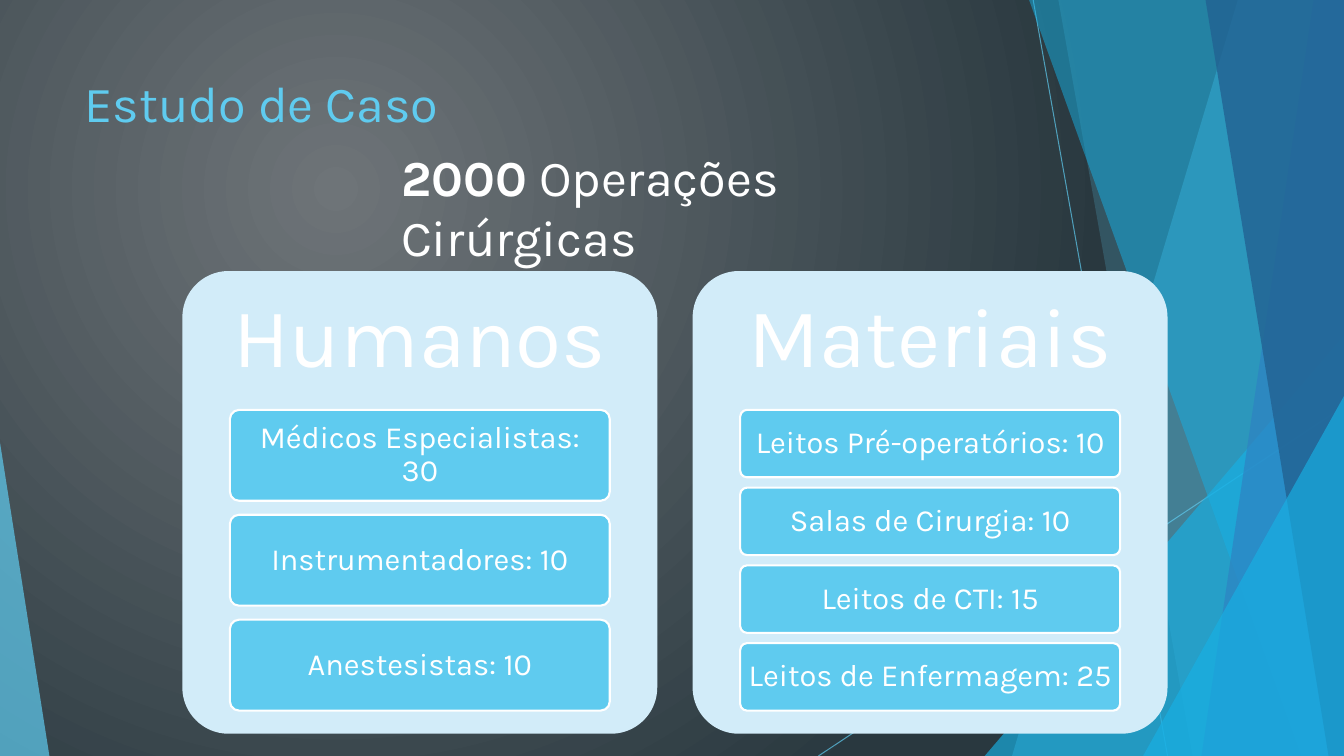
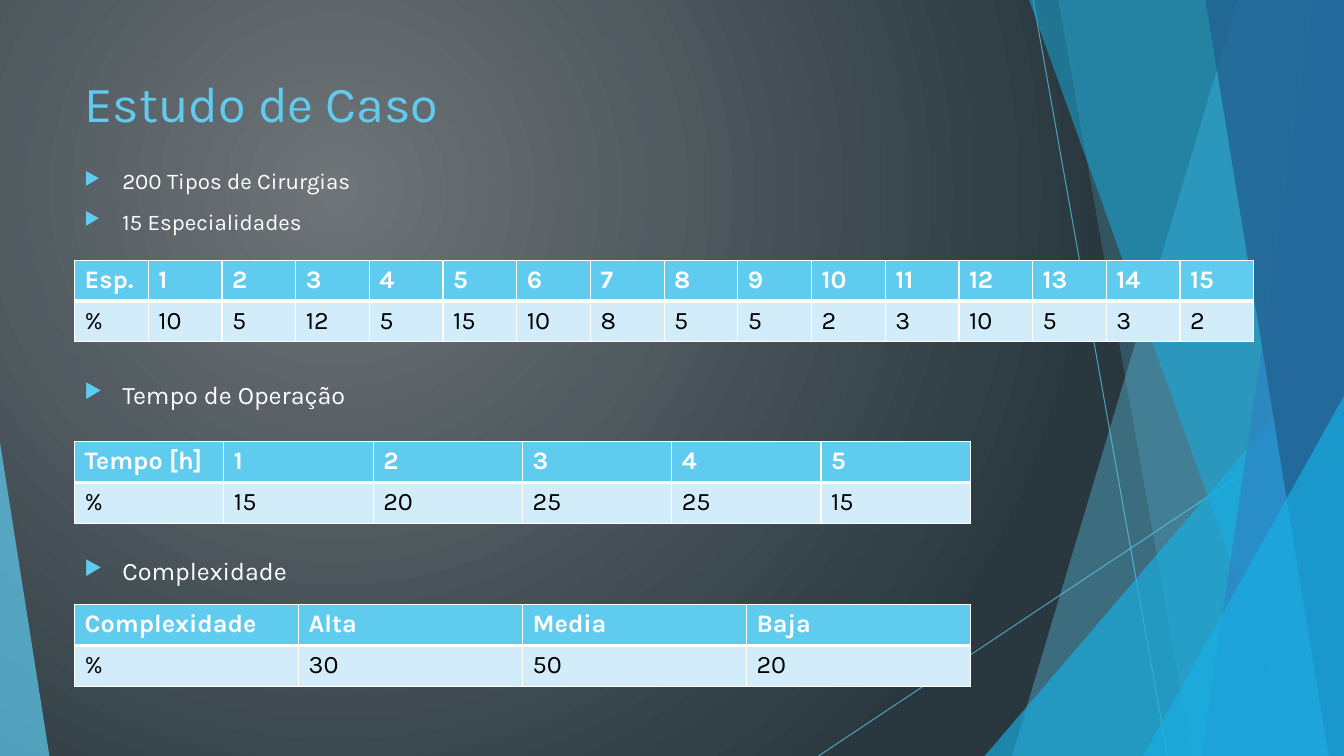
from dataclasses import dataclass
from typing import Optional, Union

from lxml.etree import SubElement
from pptx import Presentation
from pptx.dml.color import RGBColor
from pptx.enum.shapes import MSO_CONNECTOR, MSO_SHAPE
from pptx.enum.text import MSO_ANCHOR, MSO_AUTO_SIZE, PP_ALIGN
from pptx.oxml.ns import qn
from pptx.oxml.xmlchemy import OxmlElement
from pptx.slide import Slide, SlideLayout, SlideMaster
from pptx.util import Pt

FONT = "Karla"
WIDTH, HEIGHT = 960, 540
LEFT = 53.3

SKY = RGBColor(0x5F, 0xCB, 0xEF)
PALE = RGBColor(0xD2, 0xEC, 0xF9)
CYAN = RGBColor(0x17, 0xB0, 0xE4)
BLUE = RGBColor(0x2E, 0x83, 0xC3)
NAVY = RGBColor(0x22, 0x62, 0x92)
GLOW = RGBColor(0x6E, 0x74, 0x78)
SLATE = RGBColor(0x29, 0x38, 0x3F)
WHITE = RGBColor(0xFF, 0xFF, 0xFF)
BLACK = RGBColor(0, 0, 0)


@dataclass(frozen=True)
class Ray:
    start: tuple[float, float]
    end: tuple[float, float]
    color: RGBColor = SKY
    opacity: int = 70


@dataclass(frozen=True)
class Band:
    """Full-height band from a slanted left edge to the right slide edge."""
    top_x: float
    bottom_x: float
    color: RGBColor
    opacity: int


@dataclass(frozen=True)
class Wedge:
    """Right triangle standing on the bottom slide edge."""
    left: float
    top: float
    width: float
    apex: int
    color: RGBColor
    opacity: int


@dataclass(frozen=True)
class Panel:
    left: float
    heading: str
    cards: list[str]


@dataclass(frozen=True)
class Distribution:
    top: float
    width: float
    header: list[str]
    shares: list[int]


BACKDROP: list[Union[Ray, Band, Wedge]] = [
    Ray((738, 0), (834, HEIGHT)),
    Ray((WIDTH, 290.2), (584.6, HEIGHT)),
    Band(884.2, 722.9, SKY, 36),
    Band(756, 851.8, SKY, 20),
    Wedge(703.4, 239.8, 256.6, 1, CYAN, 66),
    Band(735.1, 929.5, CYAN, 50),
    Band(938.2, 858.2, BLUE, 70),
    Band(861.1, 949, NAVY, 80),
    Wedge(816.5, 283, 143.5, 1, CYAN, 66),
    Wedge(0, 316.1, 35.3, 0, SKY, 70),
]

PANELS = [
    Panel(130.3, "Humanos", [
        "Médicos Especialistas: 30", "Instrumentadores: 10", "Anestesistas: 10"]),
    Panel(494.8, "Materiais", [
        "Leitos Pré-operatórios: 10", "Salas de Cirurgia: 10",
        "Leitos de CTI: 15", "Leitos de Enfermagem: 25"]),
]
PANEL_TOP, PANEL_WIDTH, PANEL_HEIGHT = 193.6, 339.2, 330.5
HEADING_SHARE, CARDS_SHARE, CARD_WIDTH_SHARE = 0.3, 0.65, 0.8
CARD_GAP_RATIO = 2 / 13

DISTRIBUTIONS = [
    Distribution(185.8, 842.4, ["Esp.", *map(str, range(1, 16))],
                 [10, 5, 12, 5, 15, 10, 8, 5, 5, 2, 3, 10, 5, 3, 2]),
    Distribution(315.4, 640, ["Tempo [h]", *map(str, range(1, 6))],
                 [15, 20, 25, 25, 15]),
    Distribution(431.8, 640, ["Complexidade", "Alta", "Media", "Baja"],
                 [30, 50, 20]),
]
ROW_HEIGHT = 29.2


# Shared look
def style_text(paragraph, size: float, color: RGBColor,
               bold: Optional[bool] = None) -> None:
    font = paragraph.font
    font.name, font.size, font.bold = FONT, Pt(size), bold
    font.color.rgb = color


def paint_background(master: SlideMaster) -> None:
    fill = master.background.fill
    fill.gradient()
    for stop, color, position in zip(fill.gradient_stops, (GLOW, SLATE), (0, 1)):
        stop.color.rgb = color
        stop.position = position
    gradient = next(master.element.iter(qn("a:gradFill")))
    gradient.remove(gradient.find(qn("a:lin")))
    circle = OxmlElement("a:path")
    circle.set("path", "circle")
    gradient.find(qn("a:gsLst")).addnext(circle)
    focus = SubElement(circle, qn("a:fillToRect"))
    for side, percent in zip("ltrb", (50, 50, 100, 100)):
        focus.set(side, str(percent * 1000))


def draw_backdrop_part(slide: Slide, part: Union[Ray, Band, Wedge]):
    if isinstance(part, Ray):
        ray = slide.shapes.add_connector(
            MSO_CONNECTOR.STRAIGHT, *map(Pt, part.start + part.end))
        ray.line.color.rgb = part.color
        ray.line.width = Pt(0.75)
        SubElement(ray.element.spPr, qn("a:effectLst"))
        drawn = ray
    else:
        if isinstance(part, Band):
            outline = slide.shapes.build_freeform(Pt(part.top_x), 0)
            outline.add_line_segments([
                (Pt(WIDTH), 0), (Pt(WIDTH), Pt(HEIGHT)), (Pt(part.bottom_x), Pt(HEIGHT))])
            drawn = outline.convert_to_shape()
        else:
            drawn = slide.shapes.add_shape(
                MSO_SHAPE.ISOSCELES_TRIANGLE, Pt(part.left), Pt(part.top),
                Pt(part.width), Pt(HEIGHT - part.top))
            drawn.adjustments[0] = part.apex
        drawn.shadow.inherit = False
        drawn.fill.solid()
        drawn.fill.fore_color.rgb = part.color
        drawn.line.fill.background()
    tint = next(drawn.element.iter(qn("a:srgbClr")))
    SubElement(tint, qn("a:alpha")).set("val", str(part.opacity * 1000))
    return drawn


def move_backdrop_to_layout(slide: Slide, layout: SlideLayout) -> None:
    """Draw the backdrop, then place it behind the layout's placeholders."""
    tree = layout.shapes.element if hasattr(layout.shapes, "element") else layout.shapes._spTree
    for index, part in enumerate(BACKDROP):
        element = draw_backdrop_part(slide, part).element
        next(element.iter(qn("p:cNvPr"))).set("id", str(100 + index))
        tree.insert(2 + index, element)


def add_titled_slide(prs, title: str) -> Slide:
    slide = prs.slides.add_slide(prs.slide_layouts[5])
    heading = slide.shapes.title
    heading.left, heading.top = Pt(LEFT), Pt(48)
    heading.width, heading.height = Pt(676.8), Pt(104)
    frame = heading.text_frame
    frame.text = title
    frame.auto_size = MSO_AUTO_SIZE.NONE
    frame.vertical_anchor = MSO_ANCHOR.TOP
    frame.paragraphs[0].alignment = PP_ALIGN.LEFT
    style_text(frame.paragraphs[0], 36, SKY)
    return slide


def add_frame(slide: Slide, left: float, top: float, width: float, height: float):
    frame = slide.shapes.add_textbox(Pt(left), Pt(top), Pt(width), Pt(height)).text_frame
    frame.word_wrap = True
    return frame


# Resources slide
def add_rounded(slide: Slide, box: tuple[float, float, float, float],
                fill: RGBColor, text: str, size: float):
    rounded = slide.shapes.add_shape(MSO_SHAPE.ROUNDED_RECTANGLE, *map(Pt, box))
    rounded.adjustments[0] = 0.1
    rounded.shadow.inherit = False
    rounded.fill.solid()
    rounded.fill.fore_color.rgb = fill
    frame = rounded.text_frame
    frame.word_wrap = True
    frame.vertical_anchor = MSO_ANCHOR.MIDDLE
    frame.margin_left = frame.margin_right = Pt(4.25)
    frame.margin_top = frame.margin_bottom = 0
    frame.text = text
    paragraph = frame.paragraphs[0]
    paragraph.alignment = PP_ALIGN.CENTER
    paragraph.line_spacing = 0.9
    style_text(paragraph, size, WHITE)
    return rounded


def add_panel(slide: Slide, panel: Panel) -> None:
    holder = add_rounded(slide, (panel.left, PANEL_TOP, PANEL_WIDTH, PANEL_HEIGHT),
                         PALE, panel.heading, 60)
    holder.line.fill.background()
    holder.text_frame.margin_bottom = Pt(PANEL_HEIGHT * (1 - HEADING_SHARE))

    count = len(panel.cards)
    height = PANEL_HEIGHT * CARDS_SHARE / (count + (count - 1) * CARD_GAP_RATIO)
    width = PANEL_WIDTH * CARD_WIDTH_SHARE
    left = panel.left + (PANEL_WIDTH - width) / 2
    first_top = PANEL_TOP + PANEL_HEIGHT * HEADING_SHARE
    for index, text in enumerate(panel.cards):
        top = first_top + index * height * (1 + CARD_GAP_RATIO)
        card = add_rounded(slide, (left, top, width, height), SKY, text, 22)
        card.line.color.rgb = WHITE
        card.line.width = Pt(1.5)


def add_operations(slide: Slide) -> None:
    paragraph = add_frame(slide, 279.4, 100.8, 450.7, 51).paragraphs[0]
    style_text(paragraph, 36, WHITE)
    count = paragraph.add_run()
    count.text = "2000"
    count.font.bold = True
    paragraph.add_run().text = " Operações Cirúrgicas"


# Distributions slide
def add_bullets(slide: Slide, top: float, size: float, items: list[str]) -> None:
    frame = add_frame(slide, LEFT, top, 676.8, 30 * len(items))
    frame.text = "\n".join(items)
    for paragraph in frame.paragraphs:
        properties = paragraph._p.get_or_add_pPr()
        properties.set("marL", str(Pt(27)))
        properties.set("indent", str(-Pt(27)))
        bullet_color = SubElement(properties, qn("a:buClr"))
        SubElement(bullet_color, qn("a:srgbClr")).set("val", str(SKY))
        SubElement(properties, qn("a:buSzPct")).set("val", "80000")
        SubElement(properties, qn("a:buChar")).set("char", "▶")
        paragraph.space_before = Pt(10)
        style_text(paragraph, size, WHITE)


def set_borders(cell, top: float, bottom: float) -> None:
    properties = cell._tc.get_or_add_tcPr()
    for index, (side, width) in enumerate(zip("LRTB", (1, 1, top, bottom))):
        border = OxmlElement(f"a:ln{side}")
        border.set("w", str(Pt(width)))
        fill = SubElement(border, qn("a:solidFill"))
        SubElement(fill, qn("a:srgbClr")).set("val", str(WHITE))
        properties.insert(index, border)


def add_distribution(slide: Slide, data: Distribution) -> None:
    rows = [data.header, ["%", *map(str, data.shares)]]
    columns = len(data.header)
    table = slide.shapes.add_table(
        len(rows), columns, Pt(LEFT), Pt(data.top),
        Pt(data.width), Pt(ROW_HEIGHT * len(rows))).table
    table.horz_banding = False
    for column in table.columns:
        column.width = Pt(data.width / columns)
    for row_index, texts in enumerate(rows):
        is_header = row_index == 0
        for column_index, text in enumerate(texts):
            cell = table.cell(row_index, column_index)
            cell.text = text
            style_text(cell.text_frame.paragraphs[0], 18,
                       WHITE if is_header else BLACK, is_header)
            cell.fill.solid()
            cell.fill.fore_color.rgb = SKY if is_header else PALE
            set_borders(cell, *((1, 3) if is_header else (3, 1)))


def main() -> None:
    prs = Presentation()
    prs.slide_width, prs.slide_height = Pt(WIDTH), Pt(HEIGHT)
    paint_background(prs.slide_master)

    resources = add_titled_slide(prs, "Estudo de Caso")
    move_backdrop_to_layout(resources, resources.slide_layout)
    for panel in PANELS:
        add_panel(resources, panel)
    add_operations(resources)

    distributions = add_titled_slide(prs, "Estudo de Caso")
    add_bullets(distributions, 116, 16, ["200 Tipos de Cirurgias", "15 Especialidades"])
    add_bullets(distributions, 267.1, 18, ["Tempo de Operação"])
    add_bullets(distributions, 393.4, 18, ["Complexidade"])
    for data in DISTRIBUTIONS:
        add_distribution(distributions, data)

    prs.save("out.pptx")


if __name__ == "__main__":
    main()
